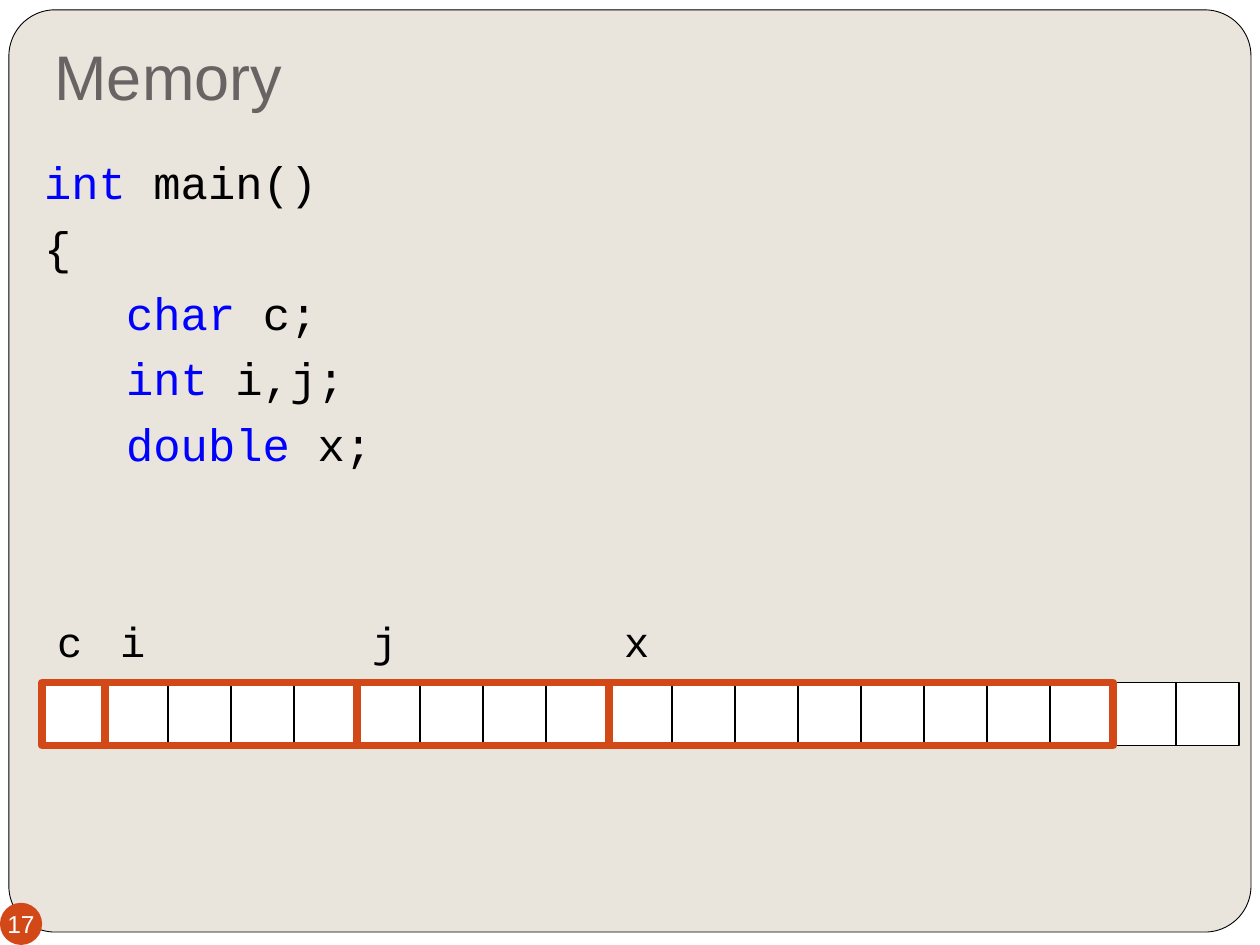
from itertools import accumulate

from pptx import Presentation
from pptx.dml.color import RGBColor
from pptx.enum.shapes import MSO_SHAPE
from pptx.enum.text import MSO_ANCHOR, MSO_AUTO_SIZE, PP_ALIGN
from pptx.util import Cm, Pt

SANS, MONO = "Arial", "Courier New"
BLACK, WHITE, PANEL, ACCENT = "000000", "FFFFFF", "E9E5DC", "D34817"
TITLE_GREY, KEYWORD_BLUE = "696464", "0000FF"
CELL = 1.27
CELL_COUNT = 19
LABEL_RISE = 1.48
VARIABLES = [("c", 1), ("i", 4), ("j", 4), ("x", 8)]
CODE = [
    [("int", KEYWORD_BLUE), (" main()", BLACK)],
    [("{", BLACK)],
    [("   ", BLACK), ("char", KEYWORD_BLUE), (" c;", BLACK)],
    [("   ", BLACK), ("int", KEYWORD_BLUE), (" i,j;", BLACK)],
    [("   ", BLACK), ("double", KEYWORD_BLUE), (" x;", BLACK)],
]


def color(hex_text):
    return RGBColor.from_string(hex_text)


def apply_format(target, values):
    for name, value in values.items():
        setattr(target, name, value)


def place(shape, box):
    apply_format(shape, dict(zip(("left", "top", "width", "height"), map(Cm, box))))


def set_frame(frame, margins, **values):
    names = ("margin_left", "margin_top", "margin_right", "margin_bottom")
    apply_format(frame, dict(zip(names, map(Cm, margins))))
    apply_format(frame, {"word_wrap": True, "auto_size": MSO_AUTO_SIZE.NONE, **values})


def add_run(paragraph, text, font_name, size, hex_text):
    run = paragraph.add_run()
    run.text = text
    apply_format(run.font, {"name": font_name, "size": Pt(size)})
    run.font.color.rgb = color(hex_text)


def add_block(slide, kind, box, fill=None, line=None, line_width=1):
    shape = slide.shapes.add_shape(kind, *map(Cm, box))
    shape.shadow.inherit = False
    if fill:
        shape.fill.solid()
        shape.fill.fore_color.rgb = color(fill)
    else:
        shape.fill.background()
    if line:
        shape.line.color.rgb = color(line)
        shape.line.width = Pt(line_width)
    else:
        shape.line.fill.background()
    return shape


def add_panel(slide, box):
    slide.background.fill.solid()
    slide.background.fill.fore_color.rgb = color(WHITE)
    panel = add_block(slide, MSO_SHAPE.ROUNDED_RECTANGLE, box, PANEL, BLACK, 0.5)
    panel.adjustments[0] = 0.05
    slide.shapes._spTree.insert(2, panel._element)


def add_title(slide, box, text):
    title = slide.shapes.title
    place(title, box)
    set_frame(title.text_frame, (0.25, 0.13, 0.25, 0.25), vertical_anchor=MSO_ANCHOR.BOTTOM)
    paragraph = title.text_frame.paragraphs[0]
    paragraph.alignment = PP_ALIGN.LEFT
    add_run(paragraph, text, SANS, 36, TITLE_GREY)


def add_code(slide, box, lines):
    frame = slide.shapes.add_textbox(*map(Cm, box)).text_frame
    set_frame(frame, (0.04, 0.13, 0.25, 0.13))
    for index, line in enumerate(lines):
        paragraph = frame.paragraphs[0] if index == 0 else frame.add_paragraph()
        paragraph.line_spacing = 1.2
        for text, hex_text in line:
            add_run(paragraph, text, MONO, 26, hex_text)


def add_label(slide, box, text):
    frame = slide.shapes.add_textbox(*map(Cm, box)).text_frame
    set_frame(frame, (0, 0.13, 0.25, 0.13))
    paragraph = frame.paragraphs[0]
    paragraph.alignment = PP_ALIGN.RIGHT
    add_run(paragraph, text, MONO, 24, BLACK)


def add_memory(slide, left, top):
    for index in range(CELL_COUNT):
        add_block(slide, MSO_SHAPE.RECTANGLE, (left + index * CELL, top, CELL, CELL), WHITE, BLACK)
    starts = accumulate((size for _, size in VARIABLES), initial=0)
    for (name, size), start in zip(VARIABLES, starts):
        x = left + start * CELL
        add_block(slide, MSO_SHAPE.RECTANGLE, (x, top, size * CELL, CELL), None, ACCENT, 4.5)
        add_label(slide, (x + 0.21, top - LABEL_RISE, 0.85, CELL), name)


def add_page_number(slide, box, text):
    badge = add_block(slide, MSO_SHAPE.OVAL, box, ACCENT)
    set_frame(badge.text_frame, (0, 0, 0, 0), word_wrap=False, vertical_anchor=MSO_ANCHOR.MIDDLE)
    paragraph = badge.text_frame.paragraphs[0]
    paragraph.alignment = PP_ALIGN.CENTER
    add_run(paragraph, text, SANS, 14, WHITE)


def main():
    presentation = Presentation()
    apply_format(presentation, {"slide_width": Cm(25.4), "slide_height": Cm(19.05)})
    slide = presentation.slides.add_slide(presentation.slide_layouts[5])
    add_panel(slide, (0.18, 0.2, 25.04, 18.59))
    add_title(slide, (0.85, 0.76, 23.7, 1.78), "Memory")
    add_code(slide, (0.85, 2.75, 23.7, 15.24), CODE)
    add_memory(slide, 0.85, 13.76)
    add_page_number(slide, (0, 18.2, 0.85, 0.85), "17")
    presentation.save("out.pptx")


if __name__ == "__main__":
    main()
